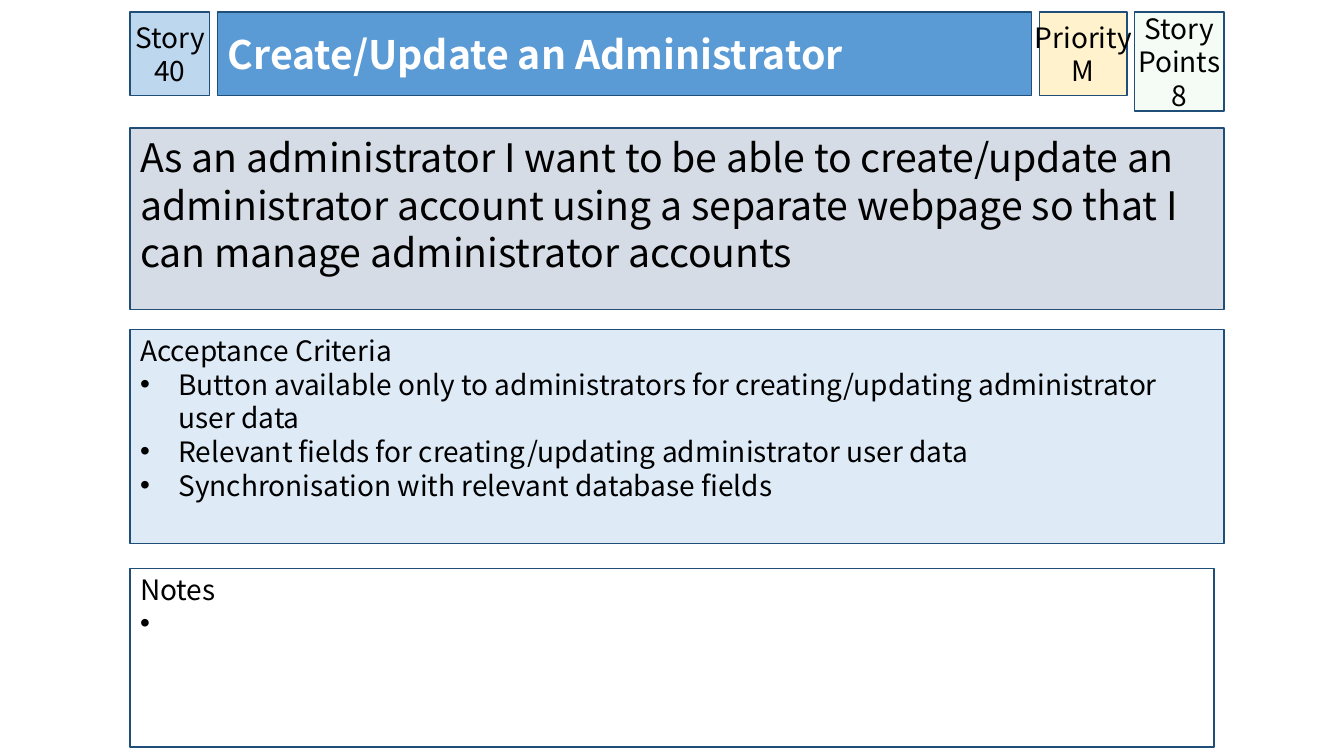
from dataclasses import dataclass

from lxml import etree
from pptx import Presentation
from pptx import util as u
from pptx.dml.color import RGBColor
from pptx.enum import shapes, text
from pptx.oxml import ns

PX = 9144  # 100 px to the inch
FONT = "Noto Sans CJK KR"
BLACK = RGBColor(0x00, 0x00, 0x00)
WHITE = RGBColor(0xFF, 0xFF, 0xFF)
NAVY = RGBColor(0x1F, 0x4E, 0x79)
BLUE = RGBColor(0x5B, 0x9B, 0xD5)
SKY = RGBColor(0xBD, 0xD7, 0xEE)
PALE = RGBColor(0xDE, 0xEB, 0xF7)
GREY = RGBColor(0xD6, 0xDC, 0xE5)
GREEN = RGBColor(0xCC, 0xF0, 0xCD)
CREAM = RGBColor(0xFF, 0xF2, 0xCC)

LEFT, TOP = 129, 12
WIDE = 1085


@dataclass(frozen=True)
class Card:
    box: tuple[int, int, int, int]
    fill: RGBColor
    lines: tuple[str, ...]
    size: int = 20
    color: RGBColor = BLACK
    bold: bool = False
    middle: bool = False
    center: bool = False
    wrap: bool = True
    inset: tuple[int, int, int, int] = (10, 5, 10, 5)
    bullets: tuple[str, ...] = ()
    indent: int = 0
    alpha: int = 100


def badge(left: int, width: int, height: int, fill: RGBColor,
          lines: tuple[str, ...], wrap: bool = True, alpha: int = 100) -> Card:
    return Card((left, TOP, width, height), fill, lines, middle=True,
                center=True, wrap=wrap, inset=(0, 5, 0, 5), alpha=alpha)


TITLE = Card((216, TOP, 807, 83), BLUE, ("Create/Update an Administrator",),
             size=28, color=WHITE, bold=True, middle=True)
CRITERIA = Card(
    (LEFT, 327, WIDE, 212), PALE, ("Acceptance Criteria",),
    inset=(10, 4, 10, 5), indent=38,
    bullets=(
        "Button available only to administrators for creating/updating "
        "administrator user data",
        "Relevant fields for creating/updating administrator user data",
        "Synchronisation with relevant database fields",
    ))
CARDS = (
    badge(LEFT, 79, 83, SKY, ("Story 40",)),
    Card((LEFT, 127, WIDE, 180), GREY,
         ("As an administrator I want to be able to create/update an "
          "administrator account using a separate webpage so that I can "
          "manage administrator accounts",), size=28),
    badge(1125, 89, 98, GREEN, ("Story Points", "8"), alpha=20),
    badge(1031, 87, 83, CREAM, ("Priority", "M"), wrap=False),
    Card((LEFT, 564, 1075, 177), WHITE, ("Notes",), inset=(10, 4, 10, 5),
         bullets=(" ",), indent=20),
)


def mark(para, indent: int) -> None:
    """Give the paragraph a hanging bullet, or none when indent is zero."""
    props = para._p.get_or_add_pPr()
    props.set("marL", str(indent * PX))
    props.set("indent", str(-indent * PX))
    if indent:
        etree.SubElement(props, ns.qn("a:buFont"), typeface="Arial")
        etree.SubElement(props, ns.qn("a:buChar"), char="•")
    else:
        etree.SubElement(props, ns.qn("a:buNone"))


def write(frame, card: Card) -> None:
    frame.auto_size = text.MSO_AUTO_SIZE.NONE
    frame.word_wrap = card.wrap
    frame.vertical_anchor = (text.MSO_ANCHOR.MIDDLE if card.middle
                             else text.MSO_ANCHOR.TOP)
    (frame.margin_left, frame.margin_top,
     frame.margin_right, frame.margin_bottom) = (n * PX for n in card.inset)
    rows = [(line, 0) for line in card.lines]
    rows += [(line, card.indent) for line in card.bullets]
    for i, (line, indent) in enumerate(rows):
        para = frame.add_paragraph() if i else frame.paragraphs[0]
        mark(para, indent)
        para.alignment = (text.PP_ALIGN.CENTER if card.center
                          else text.PP_ALIGN.LEFT)
        para.space_before = u.Pt(0)
        para.line_spacing = u.Pt(round(card.size * 1.2))
        run = para.add_run()
        run.text = line
        run.font.name = FONT
        run.font.size = u.Pt(card.size)
        run.font.bold = card.bold
        run.font.color.rgb = card.color


def dress(shape, card: Card) -> None:
    """Place, paint and fill in a shape or placeholder."""
    shape.left, shape.top, shape.width, shape.height = (
        n * PX for n in card.box)
    shape.fill.solid()
    shape.fill.fore_color.rgb = card.fill
    if card.alpha < 100:
        color = shape._element.spPr.find(".//" + ns.qn("a:srgbClr"))
        etree.SubElement(color, ns.qn("a:alpha"), val=str(card.alpha * 1000))
    shape.line.color.rgb = NAVY
    shape.line.width = u.Pt(1)
    write(shape.text_frame, card)


def main() -> None:
    deck = Presentation()
    deck.slide_width, deck.slide_height = 1333 * PX, 750 * PX
    slide = deck.slides.add_slide(deck.slide_layouts[1])
    dress(slide.shapes.title, TITLE)
    dress(slide.placeholders[1], CRITERIA)
    for card in CARDS:
        shape = slide.shapes.add_shape(
            shapes.MSO_SHAPE.RECTANGLE, *(n * PX for n in card.box))
        shape.shadow.inherit = False
        dress(shape, card)
    deck.save("out.pptx")


if __name__ == "__main__":
    main()
